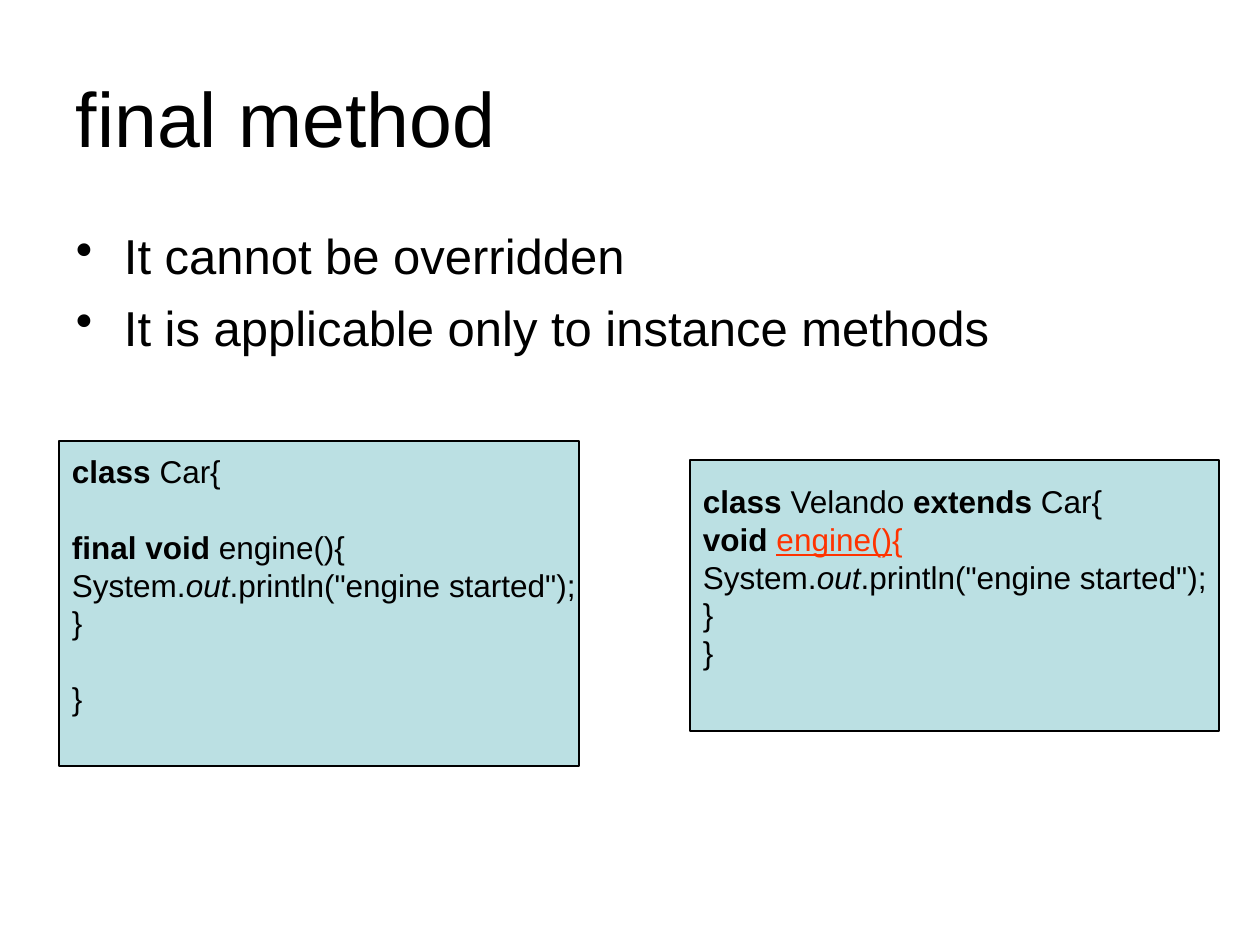
import pptx
import pptx.dml.color
import pptx.enum.shapes
import pptx.enum.text
import pptx.oxml.ns
import pptx.util
from lxml import etree

PX = 914400 / 126
COLORS = {"text": "000000", "code_fill": "BBE0E3", "error": "FF3300"}
CODE_LINE = 38


def px(length):
    return pptx.util.Emu(round(length * PX))


def rgb(name):
    return pptx.dml.color.RGBColor.from_string(COLORS[name])


def add_span(para, text, size=18, color="text", bold=False, italic=False, underline=False):
    span = para.add_run()
    span.text = text
    font = span.font
    font.name = "Arial"
    font.size = pptx.util.Pt(size)
    font.color.rgb = rgb(color)
    font.bold, font.italic, font.underline = bold, italic, underline
    return span


class SlideBuilder:
    def __init__(self, page):
        self.page = page
        self.inset_x = 13
        self.inset_y = 6
        self.title_size = 44
        self.bullet_size = 28
        self.bullet_indent = 48

    def frame(self, box, anchor, wrap=True, extra_bottom=0):
        frame = box.text_frame
        frame.word_wrap = wrap
        frame.vertical_anchor = anchor
        frame.margin_left = frame.margin_right = px(self.inset_x)
        frame.margin_top = px(self.inset_y)
        frame.margin_bottom = px(self.inset_y + extra_bottom)
        return frame

    def paragraphs(self, frame, count):
        for _ in range(count - 1):
            frame.add_paragraph()
        for para in frame.paragraphs:
            para.alignment = pptx.enum.text.PP_ALIGN.LEFT
        return frame.paragraphs

    def title(self, text, *bounds):
        box = self.page.shapes.add_textbox(*map(px, bounds))
        frame = self.frame(box, pptx.enum.text.MSO_ANCHOR.MIDDLE)
        add_span(self.paragraphs(frame, 1)[0], text, size=self.title_size)

    def bullets(self, items, *bounds):
        box = self.page.shapes.add_textbox(*map(px, bounds))
        frame = self.frame(box, pptx.enum.text.MSO_ANCHOR.TOP)
        for para, text in zip(self.paragraphs(frame, len(items)), items):
            para.space_before = pptx.util.Pt(7)
            add_span(para, text, size=self.bullet_size)
            properties = para._p.get_or_add_pPr()
            indent = px(self.bullet_indent)
            properties.set("marL", str(indent))
            properties.set("indent", str(-indent))
            bullet = etree.SubElement(properties, pptx.oxml.ns.qn("a:buChar"))
            bullet.set("char", "•")

    def code(self, lines, *bounds, gaps=()):
        box = self.page.shapes.add_shape(
            pptx.enum.shapes.MSO_SHAPE.RECTANGLE, *map(px, bounds))
        box.shadow.inherit = False
        box.fill.solid()
        box.fill.fore_color.rgb = rgb("code_fill")
        box.line.color.rgb = rgb("text")
        box.line.width = pptx.util.Pt(0.75)
        frame = self.frame(box, pptx.enum.text.MSO_ANCHOR.MIDDLE,
                           wrap=False, extra_bottom=CODE_LINE)
        for index, para in enumerate(self.paragraphs(frame, len(lines))):
            if index in gaps:
                para.space_before = px(CODE_LINE)
            for text, style in lines[index]:
                add_span(para, text, **style)


def main():
    deck = pptx.Presentation()
    deck.slide_width, deck.slide_height = px(1260), px(945)
    builder = SlideBuilder(deck.slides.add_slide(deck.slide_layouts[6]))

    plain, bold, italic = {}, {"bold": True}, {"italic": True}
    error = {"color": "error"}
    print_line = [("System.", plain), ("out", italic),
                  ('.println("engine started");', plain)]
    close_line = [("}", plain)]

    builder.title("final method", 63, 38, 1134, 158)
    builder.bullets(["It cannot be overridden",
                     "It is applicable only to instance methods"],
                    63, 220, 1068, 154)
    builder.code([
        [("class", bold), (" Car{", plain)],
        [("final void", bold), (" engine(){", plain)],
        print_line, close_line, close_line,
    ], 59, 441, 520, 325, gaps=(1, 4))
    builder.code([
        [("class", bold), (" Velando ", plain), ("extends", bold), (" Car{", plain)],
        [("void ", bold), ("engine()", {**error, "underline": True}), ("{", error)],
        print_line, close_line, close_line,
    ], 690, 460, 529, 271)
    deck.save("out.pptx")


if __name__ == "__main__":
    main()
